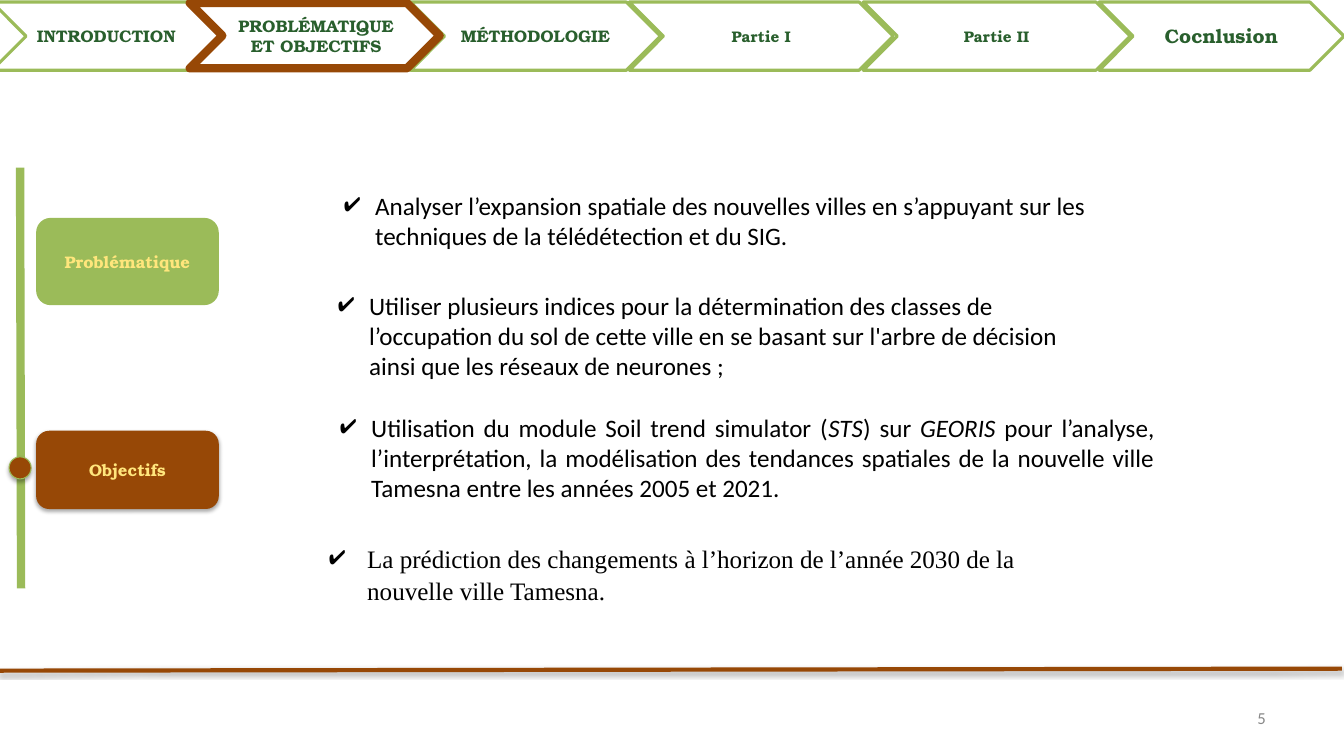
from lxml import etree
from pptx import Presentation
from pptx.dml.color import RGBColor
from pptx.enum.shapes import MSO_CONNECTOR, MSO_SHAPE
from pptx.enum.text import MSO_ANCHOR, MSO_AUTO_SIZE, PP_ALIGN
from pptx.oxml.ns import qn
from pptx.util import Inches, Pt

COLORS = {
    "green": "9BBB59", "brown": "974806", "white": "FFFFFF", "black": "000000",
    "label": "FFE67C", "nav": "295F2D", "number": "888888",
}
HEADING_FONT = "TeX Gyre Bonum"
BODY_FONT = "Calibri"

NAVIGATION = [  # left, width, label, text size
    (-0.08, 2.28, "INTRODUCTION", 12),
    (1.89, 2.52, "PROBLÉMATIQUE\nET OBJECTIFS", 12),
    (4.09, 2.49, "MÉTHODOLOGIE", 12),
    (6.27, 2.63, "Partie I", 11),
    (10.95, 2.44, "Cocnlusion", 14),
    (8.6, 2.66, "Partie II", 11),
]
OBJECTIVES = [  # box, text with italic parts between asterisks, format
    ((3.33, 1.85, 7.64, 0.71),
     "Analyser l’expansion spatiale des nouvelles villes en s’appuyant sur les "
     "techniques de la télédétection et du SIG.", {}),
    ((3.27, 2.84, 7.64, 1.01),
     "Utiliser plusieurs indices pour la détermination des classes de l’occupation "
     "du sol de cette ville en se basant sur l'arbre de décision ainsi que les "
     "réseaux de neurones ;", {}),
    ((3.29, 4.06, 8.31, 1.31),
     "Utilisation du module Soil trend simulator (*STS*) sur *GEORIS* pour l’analyse, "
     "l’interprétation, la modélisation des tendances spatiales de la nouvelle ville "
     "Tamesna entre les années 2005 et 2021.", {"align": PP_ALIGN.JUSTIFY}),
    ((3.18, 5.34, 7.79, 0.73),
     "La prédiction des changements à l’horizon de l’année 2030 de la nouvelle ville "
     "Tamesna.", {"font": "Times New Roman", "indent": 0.38, "line_spacing": 1.07}),
]


def rgb(name):
    return RGBColor.from_string(COLORS[name])


def add_element(parent, tag, **attributes):
    return etree.SubElement(parent, qn(tag), attributes)


def set_shadow(shape, visible):
    """Give the shape a soft shadow below it, or none at all."""
    effects = add_element(shape._element.spPr, "a:effectLst")
    if visible:
        outer = add_element(effects, "a:outerShdw", blurRad=str(Pt(3.1)), dist=str(Pt(1.8)),
                            dir="5400000", rotWithShape="0")
        color = add_element(outer, "a:srgbClr", val=COLORS["black"])
        add_element(color, "a:alpha", val="35000")


def add_check_bullet(paragraph, indent):
    properties = paragraph._p.get_or_add_pPr()
    properties.set("marL", str(Inches(indent)))
    properties.set("indent", str(-Inches(indent)))
    color = add_element(properties, "a:buClr")
    add_element(color, "a:srgbClr", val=COLORS["black"])
    add_element(properties, "a:buChar", char="✔")


def write_text(frame, text, size=18, font=BODY_FONT, color="black", bold=False,
               align=PP_ALIGN.LEFT, anchor=MSO_ANCHOR.TOP, indent=None, line_spacing=None):
    """Write one paragraph per line; parts between asterisks are italic."""
    frame.word_wrap = True
    frame.vertical_anchor = anchor
    for index, line in enumerate(text.split("\n")):
        paragraph = frame.add_paragraph() if index else frame.paragraphs[0]
        if indent:
            add_check_bullet(paragraph, indent)
        paragraph.alignment = align
        if line_spacing:
            paragraph.line_spacing = line_spacing
        for position, part in enumerate(line.split("*")):
            run = paragraph.add_run()
            run.text = part
            run.font.size = Pt(size)
            run.font.name = font
            run.font.bold = bold
            run.font.italic = position % 2 == 1
            run.font.color.rgb = rgb(color)


def add_line(slide, start, end, color, width, shadow=False):
    line = slide.shapes.add_connector(MSO_CONNECTOR.STRAIGHT, *map(Inches, start + end))
    line.line.color.rgb = rgb(color)
    line.line.width = Pt(width)
    set_shadow(line, shadow)


def add_box(slide, kind, box, fill=None, line=None, width=0, shadow=False):
    shape = slide.shapes.add_shape(kind, *map(Inches, box))
    if fill:
        shape.fill.solid()
        shape.fill.fore_color.rgb = rgb(fill)
    else:
        shape.fill.background()
    if line:
        shape.line.color.rgb = rgb(line)
        shape.line.width = Pt(width)
    else:
        shape.line.fill.background()
    set_shadow(shape, shadow)
    return shape


def add_label(shape, text, size, color):
    write_text(shape.text_frame, text, size=size, font=HEADING_FONT, color=color, bold=True,
               align=PP_ALIGN.CENTER, anchor=MSO_ANCHOR.MIDDLE)


def add_section(slide, text, top, height, fill, shadow):
    section = add_box(slide, MSO_SHAPE.ROUNDED_RECTANGLE, (0.36, top, 1.82, height),
                      fill=fill, shadow=shadow)
    add_label(section, text, 12, "label")


def add_navigation(slide):
    for left, width, text, size in NAVIGATION:
        step = add_box(slide, MSO_SHAPE.CHEVRON, (left, 0.02, width, 0.68),
                       fill="white", line="green", width=2.25)
        add_label(step, text, size, "nav")
    add_box(slide, MSO_SHAPE.CHEVRON, (1.89, 0.03, 2.49, 0.65), line="brown", width=6)


def add_objective(slide, box, text, indent=0.31, **text_format):
    frame = slide.shapes.add_textbox(*map(Inches, box)).text_frame
    frame.auto_size = MSO_AUTO_SIZE.SHAPE_TO_FIT_TEXT
    write_text(frame, text, indent=indent, **text_format)


def main():
    presentation = Presentation()
    presentation.slide_width = Inches(13.39)
    presentation.slide_height = Inches(7.5)
    slide = presentation.slides.add_slide(presentation.slide_layouts[6])

    add_line(slide, (-0.02, 6.68), (13.37, 6.66), "brown", 3, shadow=True)
    add_line(slide, (0.2, 1.67), (0.21, 5.86), "green", 6)
    add_section(slide, "Problématique", 2.17, 0.87, "green", shadow=False)
    add_section(slide, "Objectifs", 4.29, 0.78, "brown", shadow=True)
    add_navigation(slide)
    add_box(slide, MSO_SHAPE.FLOWCHART_CONNECTOR, (0.09, 4.55, 0.22, 0.22),
            fill="brown", line="green", width=0.75, shadow=True)
    for box, text, text_format in OBJECTIVES:
        add_objective(slide, box, text, **text_format)

    number = slide.shapes.add_textbox(*map(Inches, (9.59, 6.95, 3.12, 0.4)))
    write_text(number.text_frame, "5", size=12, color="number",
               align=PP_ALIGN.RIGHT, anchor=MSO_ANCHOR.MIDDLE)
    presentation.save("out.pptx")


if __name__ == "__main__":
    main()
